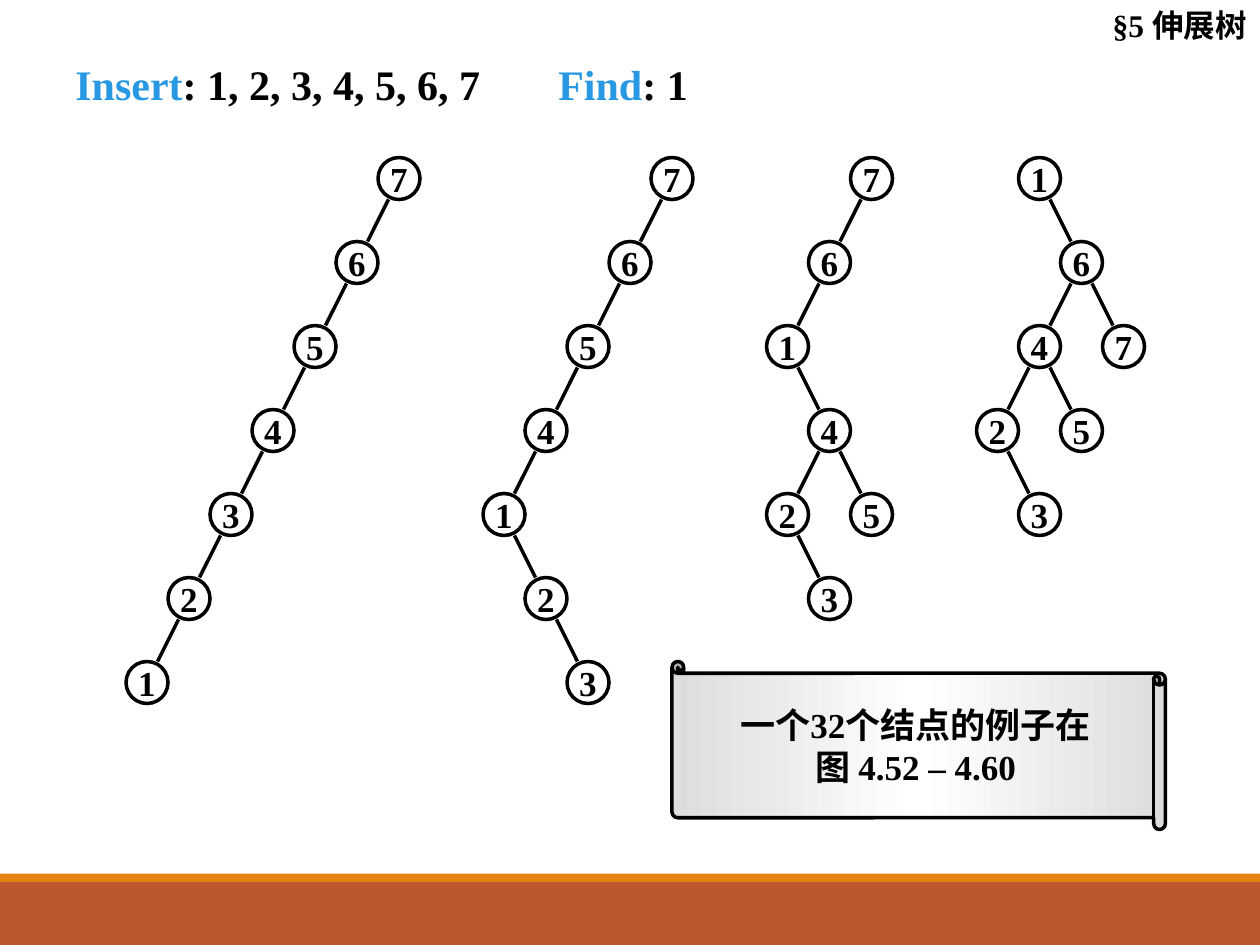
from copy import deepcopy
from dataclasses import dataclass

from pptx import Presentation
from pptx.dml.color import RGBColor
from pptx.enum.shapes import MSO_CONNECTOR as Connector
from pptx.enum.shapes import MSO_SHAPE as Shape
from pptx.enum.text import MSO_ANCHOR as Anchor
from pptx.enum.text import MSO_AUTO_SIZE as AutoSize
from pptx.enum.text import PP_ALIGN as Align
from pptx.oxml.ns import qn
from pptx.util import Emu, Pt

PX = 7620  # EMU per px, 120 px to the inch


@dataclass(frozen=True)
class Theme:
    font: str = "Times New Roman"
    ink: str = "000000"
    accent: str = "2998E3"
    band: str = "BD582C"
    stripe: str = "E48312"
    scroll_edge: str = "DDDDDD"
    scroll_middle: str = "FFFFFF"
    section_size: int = 18
    heading_size: int = 24
    body_size: int = 20
    line_width: int = 2


THEME = Theme()

NODE = 40
COLUMN = 40
ROW = 80
EDGE_INSET = 10  # sideways distance of an edge's end from the node's centre
TREE_TOP = 150

# A tree is (key, left subtree, right subtree); a leaf is its key alone.
TREES = [
    (360, (7, (6, (5, (4, (3, (2, 1, None), None), None), None), None), None)),
    (620, (7, (6, (5, (4, (1, None, (2, None, 3)), None), None), None), None)),
    (810, (7, (6, (1, None, (4, (2, None, 3), 5)), None), None)),
    (970, (1, None, (6, (4, (2, None, 3), 5), 7))),
]


def px(*lengths):
    return [Emu(length * PX) for length in lengths]


def rgb(color):
    return RGBColor.from_string(color)


def write(paragraph, runs, size, align=Align.LEFT):
    """Fill a paragraph with (text, colour) runs."""
    paragraph.alignment = align
    for text, color in runs:
        run = paragraph.add_run()
        run.text = text
        run_format = {"name": THEME.font, "size": Pt(size), "bold": True}
        for name, value in run_format.items():
            setattr(run.font, name, value)
        run.font.color.rgb = rgb(color)


def draw_outline(line):
    line.color.rgb = rgb(THEME.ink)
    line.width = Pt(THEME.line_width)


def add_bar(slide, top, height, color):
    bar = slide.shapes.add_shape(Shape.RECTANGLE, *px(0, top, 1200, height))
    bar.shadow.inherit = False
    bar.fill.solid()
    bar.fill.fore_color.rgb = rgb(color)
    bar.line.fill.background()


def add_label(slide, box, runs, size, align=Align.LEFT):
    frame = slide.shapes.add_textbox(*px(*box)).text_frame
    frame.word_wrap = True
    frame.auto_size = AutoSize.SHAPE_TO_FIT_TEXT
    write(frame.paragraphs[0], runs, size, align)


def add_node(group, left, top, key):
    node = group.shapes.add_shape(Shape.OVAL, *px(left, top, NODE, NODE))
    node.shadow.inherit = False
    node.fill.background()
    draw_outline(node.line)
    frame = node.text_frame
    frame.word_wrap = False
    frame.vertical_anchor = Anchor.MIDDLE
    write(frame.paragraphs[0], [(str(key), THEME.ink)], THEME.body_size, Align.CENTER)


def add_edge(group, left, top, side):
    """Join the node at left, top to its child; side is -1 for left, 1 for right."""
    center = left + NODE // 2
    start = center + side * EDGE_INSET
    end = center + side * (COLUMN - EDGE_INSET)
    edge = group.shapes.add_connector(
        Connector.STRAIGHT, *px(start, top + NODE, end, top + ROW))
    draw_outline(edge.line)
    properties = edge._element.spPr
    properties.append(properties.makeelement(qn("a:effectLst"), {}))


def add_tree(group, left, top, tree):
    key, *children = tree if isinstance(tree, tuple) else (tree, None, None)
    add_node(group, left, top, key)
    for side, child in zip((-1, 1), children):
        if child is not None:
            add_edge(group, left, top, side)
            add_tree(group, left + side * COLUMN, top + ROW, child)


def fill_scroll(scroll):
    """Shade from grey through white to grey, left to right."""
    scroll.fill.gradient()
    scroll.fill.gradient_angle = 0
    stop_list = scroll._element.spPr.find(".//" + qn("a:gsLst"))
    stop_list.append(deepcopy(stop_list[0]))
    colors = (THEME.scroll_edge, THEME.scroll_middle, THEME.scroll_edge)
    for stop, position, color in zip(scroll.fill.gradient_stops, (0, 0.5, 1), colors):
        stop.position = position
        stop.color.rgb = rgb(color)


def add_scroll(slide, box, lines):
    scroll = slide.shapes.add_shape(Shape.HORIZONTAL_SCROLL, *px(*box))
    scroll.shadow.inherit = False
    scroll.adjustments[0] = 0.07
    scroll._element.spPr.xfrm.set("flipH", "1")
    fill_scroll(scroll)
    draw_outline(scroll.line)
    frame = scroll.text_frame
    frame.word_wrap = True
    frame.vertical_anchor = Anchor.MIDDLE
    for index, line in enumerate(lines):
        paragraph = frame.add_paragraph() if index else frame.paragraphs[0]
        write(paragraph, [(line, THEME.ink)], THEME.body_size, Align.CENTER)


def main():
    presentation = Presentation()
    presentation.slide_width, presentation.slide_height = px(1200, 900)
    slide = presentation.slides.add_slide(presentation.slide_layouts[6])

    add_bar(slide, 840, 60, THEME.band)
    add_bar(slide, 832, 8, THEME.stripe)
    add_label(slide, (940, 0, 259, 48), [("§5 伸展树", THEME.ink)],
              THEME.section_size, Align.RIGHT)
    operations = [
        ((60, 50, 490, 60), "Insert", ": 1, 2, 3, 4, 5, 6, 7"),
        ((520, 50, 170, 60), "Find", ": 1"),
    ]
    for box, name, keys in operations:
        add_label(slide, box, [(name, THEME.accent), (keys, THEME.ink)],
                  THEME.heading_size)
    for root_left, tree in TREES:
        add_tree(slide.shapes.add_group_shape(), root_left, TREE_TOP, tree)
    add_scroll(slide, (640, 630, 470, 160),
               ["一个32个结点的例子在", "图 4.52 – 4.60"])

    presentation.save("out.pptx")


if __name__ == "__main__":
    main()
